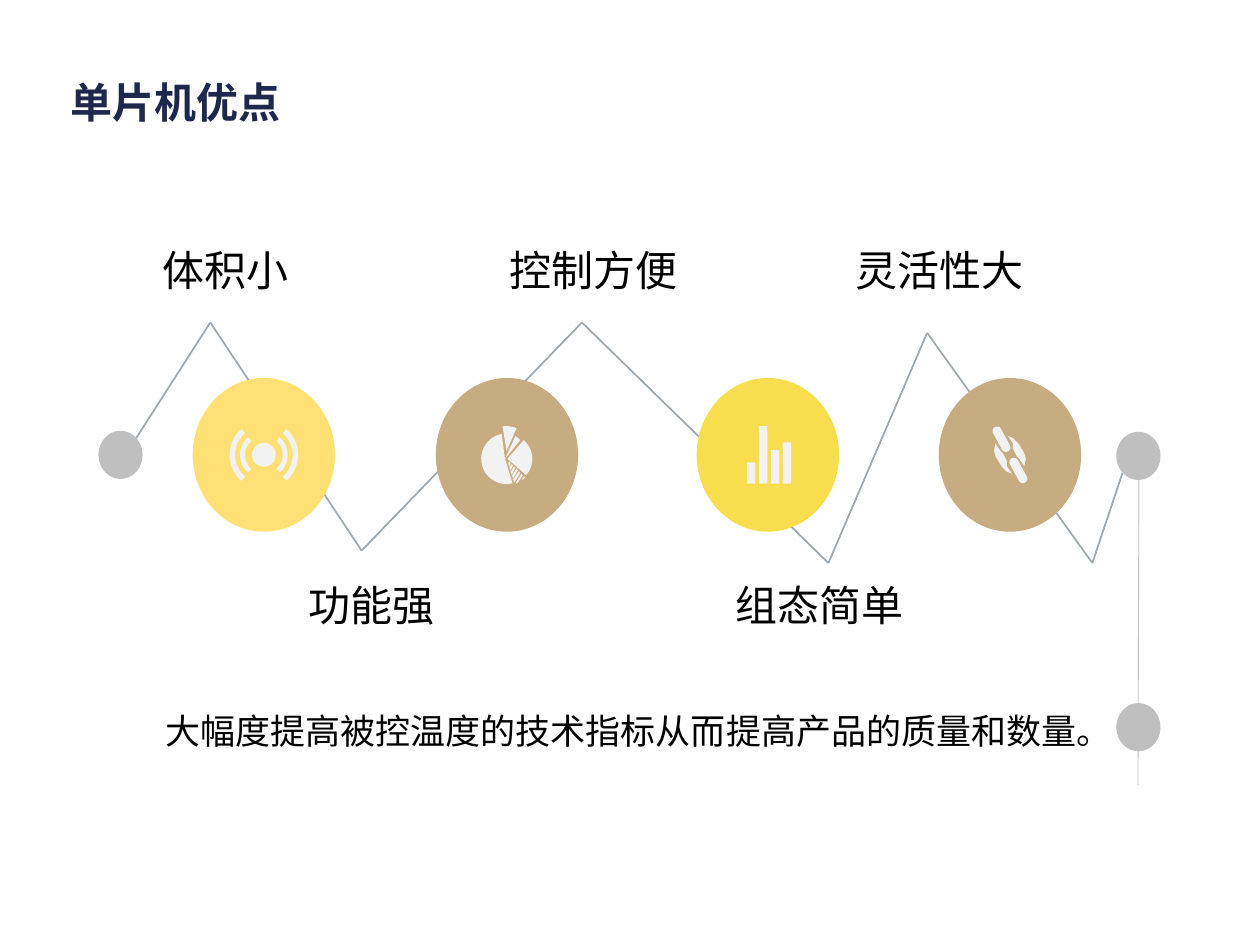
"""Build the slide on the advantages of single-chip microcomputers."""
import math
from dataclasses import dataclass

from lxml import etree
from pptx import Presentation
from pptx import util as u
from pptx.dml.color import RGBColor
from pptx.enum import shapes, text
from pptx.oxml import ns


@dataclass(frozen=True)
class Theme:
    title_font: str = "Montserrat"
    body_font: str = "Noto Sans CJK SC"
    title_size: int = 24
    label_size: int = 24
    summary_size: int = 20
    navy: str = "1E284C"
    black: str = "000000"
    zigzag: str = "9DA8B1"
    gray: str = "BFBFBF"
    icon: str = "F2F2F2"
    tan: str = "C6AC80"
    cream: str = "FFE075"
    yellow: str = "F8DD4E"


THEME = Theme()
TITLE = "单片机优点"
SUMMARY = "大幅度提高被控温度的技术指标从而提高产品的质量和数量。"
UPPER, LOWER, LABEL_HEIGHT = 4.62, 11.38, 1.42
LABELS = [
    ("体积小", 2.34, UPPER, 4.42),
    ("功能强", 5.28, LOWER, 4.42),
    ("控制方便", 9.86, UPPER, 4.22),
    ("灵活性大", 16.69, UPPER, 4.5),
    ("组态简单", 14.12, LOWER, 4.8),
]
ZIGZAG = [(2.74, 8.84), (4.24, 6.5), (7.29, 11.1), (11.73, 6.5),
          (16.7, 11.35), (18.69, 6.71), (22.02, 11.35), (22.63, 9.53)]
STEM = [(22.96, 9.53), (22.94, 15.82)]
DOTS = [(2.43, 9.17), (22.95, 9.19), (22.95, 14.66)]
DOT_SIZE = (0.89, 0.97)
DISC_SIZE = (2.87, 3.1)
DISC_Y = 9.17
BAR_TOPS = [0.15, -0.58, -0.1, -0.25]
CHAIN_LINK = [(-0.04, -0.38), (0.06, -0.34), (0.17, -0.23), (0.29, -0.03), (0.32, 0.08),
              (0.29, 0.23), (0.19, 0.08), (0.14, 0.03), (0.06, -0.13), (0.06, -0.23)]


def arc(center, radius, start, end, steps=24):
    angles = [math.radians(start + (end - start) * i / steps) for i in range(steps + 1)]
    return [(center[0] + radius * math.cos(a), center[1] + radius * math.sin(a)) for a in angles]


def wedge(apex, center, radius, start, end):
    return [apex] + arc(center, radius, start, end)


def broadcast_icon():
    origin = (0, 0)
    outlines = [arc(origin, 0.24, 0, 360)]
    for facing in (0, 180):
        for outer, inner, spread in ((0.48, 0.38, 48), (0.69, 0.58, 49)):
            outlines.append(arc(origin, outer, facing - spread, facing + spread)
                            + arc(origin, inner, facing + spread, facing - spread))
    return outlines


def pie_icon():
    outlines = [
        wedge((-0.04, 0.08), (-0.01, 0.08), 0.51, 76, 259),
        wedge((0.01, 0.08), (0.01, 0.08), 0.5, -49, 41),
        wedge((-0.01, -0.08), (-0.01, -0.08), 0.5, -99, -66),
        [(-0.04, 0.08), (0.27, -0.3), (0.17, -0.38)],
        [(0.34, 0.43), (0.37, 0.46), (0.29, 0.51)],
        [(0.32, 0.41), (0.29, 0.38), (0.17, 0.58), (0.22, 0.56)],
    ]
    for k in range(1, 6):
        top, across, down = 0.05 * k, 0.025 * k, 0.08 * k
        outlines.append([(0.32 - top, 0.41 - top), (0.29 - top, 0.38 - top),
                         (0.15 - across, 0.58 - down), (0.17 - across, 0.64 - down)])
    return outlines


def bars_icon():
    lefts = [-0.42 + 0.24 * i for i in range(len(BAR_TOPS))]
    return [[(x, 0.58), (x + 0.17, 0.58), (x + 0.17, top), (x, top)]
            for x, top in zip(lefts, BAR_TOPS)]


def chain_icon():
    capsule = arc((-0.26, -0.48), 0.09, 151, 331) + arc((-0.08, -0.15), 0.09, -29, 151)
    half = [CHAIN_LINK, capsule]
    return half + [[(-x, -y) for x, y in outline] for outline in half]


DISCS = [
    (5.32, THEME.cream, broadcast_icon),
    (10.22, THEME.tan, pie_icon),
    (15.48, THEME.yellow, bars_icon),
    (20.36, THEME.tan, chain_icon),
]


def paint(shape, color):
    shape.shadow.inherit = False
    shape.fill.solid()
    shape.fill.fore_color.rgb = RGBColor.from_string(color)
    shape.line.fill.background()


def add_ellipse(slide, center, size, color):
    corner = [c - s / 2 for c, s in zip(center, size)]
    paint(slide.shapes.add_shape(shapes.MSO_SHAPE.OVAL, *map(u.Cm, (*corner, *size))), color)


def add_icon(slide, center, outlines):
    placed = [[(u.Cm(center[0] + x), u.Cm(center[1] + y)) for x, y in outline]
              for outline in outlines]
    builder = slide.shapes.build_freeform(*placed[0][0])
    for outline in placed:
        builder.move_to(*outline[0])
        builder.add_line_segments(outline[1:], close=True)
    paint(builder.convert_to_shape(), THEME.icon)


def add_lines(slide, points, color, width):
    for start, end in zip(points, points[1:]):
        connector = slide.shapes.add_connector(
            shapes.MSO_CONNECTOR.STRAIGHT, *map(u.Cm, (*start, *end)))
        connector.line.color.rgb = RGBColor.from_string(color)
        connector.line.width = u.Pt(width)
        etree.SubElement(connector._element.spPr, ns.qn("a:effectLst"))


def add_text(slide, content, box, size, color=THEME.black, font=THEME.body_font, bold=False):
    frame = slide.shapes.add_textbox(*map(u.Cm, box)).text_frame
    frame.word_wrap = True
    paragraph = frame.paragraphs[0]
    run = paragraph.add_run()
    run.text = content
    run.font.name = font
    run.font.size = u.Pt(size)
    run.font.bold = bold
    run.font.color.rgb = RGBColor.from_string(color)
    east_asian = etree.SubElement(run.font._element, ns.qn("a:ea"))
    east_asian.set("typeface", THEME.body_font)
    return frame, paragraph


def add_label(slide, content, left, top, width):
    frame, paragraph = add_text(slide, content, (left, top, width, LABEL_HEIGHT), THEME.label_size)
    frame.margin_left = frame.margin_right = u.Cm(0.18)
    frame.margin_top = frame.margin_bottom = u.Cm(0.1)
    frame.auto_size = text.MSO_AUTO_SIZE.SHAPE_TO_FIT_TEXT
    paragraph.alignment = text.PP_ALIGN.CENTER
    paragraph.line_spacing = 1.2


def main():
    presentation = Presentation()
    presentation.slide_width, presentation.slide_height = u.Cm(25.4), u.Cm(19.05)
    slide = presentation.slides.add_slide(presentation.slide_layouts[6])

    add_lines(slide, ZIGZAG, THEME.zigzag, 1)
    add_lines(slide, STEM, THEME.gray, 0.5)
    for center in DOTS:
        add_ellipse(slide, center, DOT_SIZE, THEME.gray)
    for x, color, icon in DISCS:
        add_ellipse(slide, (x, DISC_Y), DISC_SIZE, color)
        add_icon(slide, (x, DISC_Y), icon())
    for label in LABELS:
        add_label(slide, *label)

    frame, paragraph = add_text(slide, TITLE, (1.17, 1.27, 21.89, 1.68), THEME.title_size,
                                THEME.navy, THEME.title_font, bold=True)
    frame.vertical_anchor = text.MSO_ANCHOR.MIDDLE
    paragraph.line_spacing = 0.9

    frame, paragraph = add_text(slide, SUMMARY, (2.34, 14.17, 20.75, 1.12), THEME.summary_size)
    frame.auto_size = text.MSO_AUTO_SIZE.SHAPE_TO_FIT_TEXT
    paragraph._p.get_or_add_pPr().set("indent", str(u.Cm(0.74)))

    presentation.save("out.pptx")


if __name__ == "__main__":
    main()
